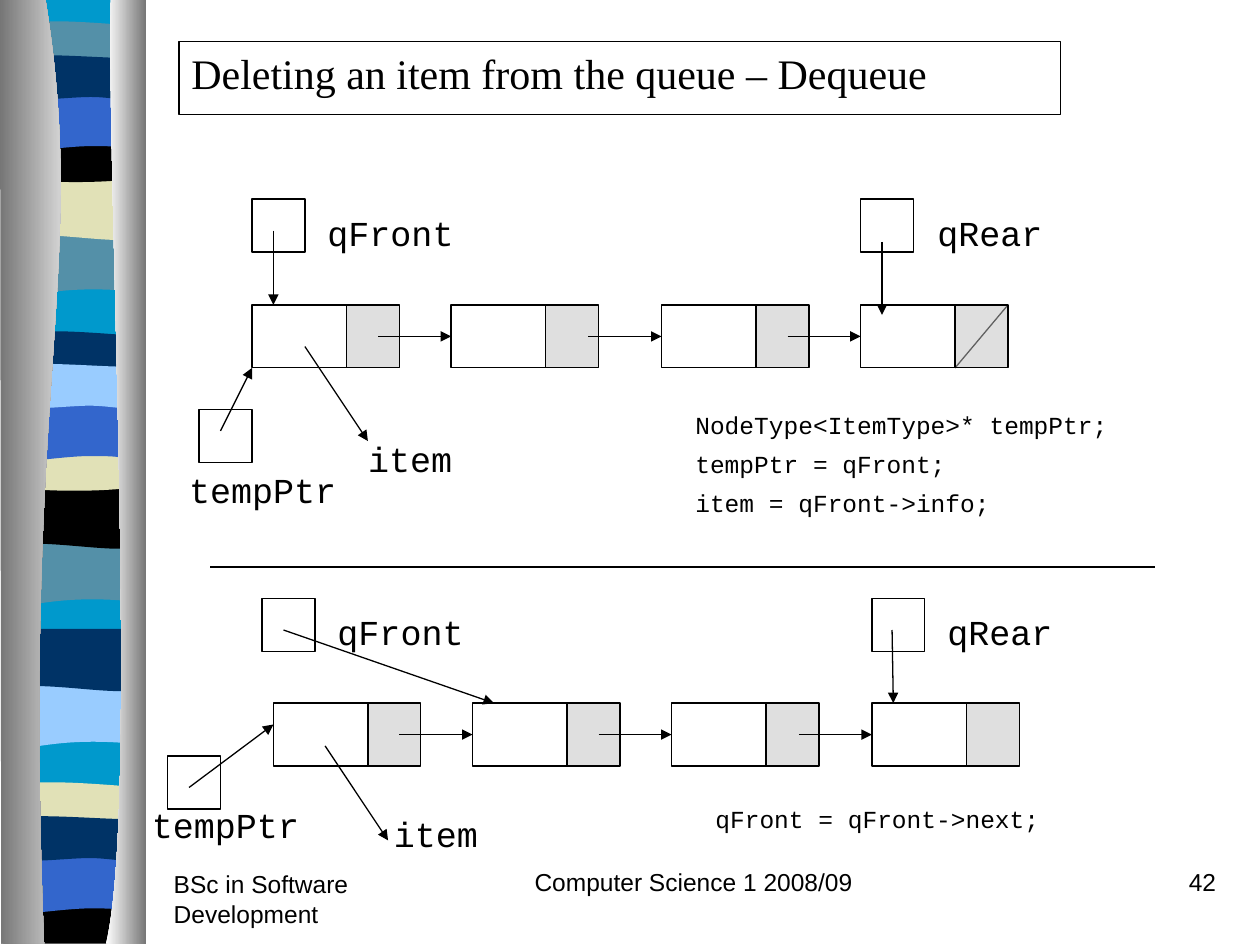
from lxml.etree import SubElement
from pptx import Presentation
from pptx.dml.color import RGBColor
from pptx.enum.shapes import MSO_CONNECTOR, MSO_SHAPE
from pptx.enum.text import PP_ALIGN
from pptx.oxml.ns import qn
from pptx.util import Inches, Pt

THEME = {
    "ink": "000000", "cell": "C0C0C0", "dark": "767676", "light": "FFFFFF",
    "sky": "0099CC", "teal": "5490A8", "sand": "E1E1B7", "blue": "3366CC",
    "navy": "003366", "pale": "99CCFF",
    "serif": "Times New Roman", "mono": "Courier New", "sans": "Arial",
    "title": 24, "label": 20, "small": 14, "line": 0.75,
}

WAVES = {
    "dip": [(1.08, 0), (1.08, 0.47), (0.33, 0.39, 0.18, 0.55, 0, 0.47), (0, 0)],
    "crest": [(1.08, 0), (1.08, 0.47), (0.9, 0.55, 0.33, 0.41, 0, 0.47), (0, 0)],
    "lens": [(1.08, 0.05), (1.08, 0.29), (0.9, 0.33, 0.18, 0.33, 0, 0.29), (0, 0.05),
             (0.06, 0, 0.23, 0.01, 0.41, 0.01), (0.59, 0.01, 0.94, 0.04, 1.08, 0.05)],
    "bowl": [(1.08, 0), (1.08, 0.32), (0.9, 0.38, 0.18, 0.38, 0, 0.32), (0, 0),
             (0.66, 0.05, 0.85, 0, 1.08, 0)],
    "arch": [(1.08, 0), (1.08, 0.47), (0.91, 0.42, 0.84, 0.42, 0.66, 0.42),
             (0.48, 0.42, 0.16, 0.47, 0, 0.47), (0, 0)],
    "flag": [(1.08, 0.05), (1.08, 0.36), (1.01, 0.41, 0.84, 0.36, 0.66, 0.36),
             (0.48, 0.36, 0.11, 0.41, 0, 0.36), (0, 0.05),
             (0.15, 0, 0.73, 0.05, 0.91, 0.05), (1.09, 0.05, 1.05, 0.05, 1.08, 0.05)],
    "base": [(1.08, 0), (1.08, 0.37), (0.01, 0.37), (0, 0), (0.66, 0.05, 0.85, 0, 1.08, 0)],
    "back": [(1.08, 0), (1.08, 7.48), (0, 7.48), (0, 0)],
}

BANDS = [
    ("back", 0.06, -0.01, "sky"), ("dip", 0.06, 1.85, "teal"),
    ("crest", 0.06, 1.41, "sand"), ("lens", 0.06, 0.16, "teal"),
    ("bowl", 0.06, 1.08, "ink"), ("arch", 0.06, 0.74, "blue"),
    ("flag", 0.06, 0.41, "navy"), ("dip", 0.05, 4.31, "teal"),
    ("crest", 0.05, 3.86, "ink"), ("lens", 0.05, 2.62, "navy"),
    ("bowl", 0.05, 3.53, "sand"), ("arch", 0.05, 3.2, "blue"),
    ("flag", 0.05, 2.86, "pale"), ("dip", 0.06, 5.44, "pale"),
    ("crest", 0.06, 4.99, "navy"), ("lens", 0.05, 6.2, "sand"),
    ("base", 0.05, 7.12, "ink"), ("arch", 0.05, 6.79, "blue"),
    ("flag", 0.05, 6.45, "navy"),
]

EDGES = [
    ([(0.36, -0.01), (0.71, 2.16, 0.17, 2.96, 0.35, 7.49), (0.01, 7.49), (0, -0.01)],
     ("dark", "light")),
    ([(0.88, -0.01), (0.84, 1.25, 1.11, 6.46, 0.84, 7.49), (1.16, 7.49), (1.16, 0)],
     ("light", "dark")),
]

QUEUES = [
    {"nodes": [2, 3.58, 5.25, 6.83], "top": 2.42,
     "boxes": [(2, 1.58), (6.83, 1.58), (1.58, 3.25)],
     "arrows": [(2.17, 1.83, 2.17, 2.42), (7, 1.92, 7, 2.5),
                (2.42, 2.75, 2.92, 3.5), (1.75, 3.42, 2, 2.92)]},
    {"nodes": [2.17, 3.75, 5.33, 6.92], "top": 5.58,
     "boxes": [(2.08, 4.75), (6.92, 4.75), (1.33, 6)],
     "arrows": [(2.25, 5, 3.92, 5.58), (7.08, 5, 7.09, 5.58),
                (2.58, 5.92, 3.08, 6.67), (1.5, 6.25, 2.17, 5.75)]},
]
RULES = [(7.58, 2.92, 8, 2.42), (1.67, 4.5, 9.17, 4.5)]
TABS = (1, 5.84)

LEFT, MID, RIGHT = PP_ALIGN.LEFT, PP_ALIGN.CENTER, PP_ALIGN.RIGHT
TEXTS = [
    ((1.28, 6.85, 2.08, 0.5), ["BSc in Software Development"], "sans", "small", LEFT, 1),
    ((3.92, 6.83, 3.17, 0.5), ["Computer Science 1 2008/09"], "sans", "small", MID, 1),
    ((7.67, 6.83, 2.08, 0.5), ["42"], "sans", "small", RIGHT, 1),
    ((1.5, 1.63, 7.42, 0.44), ["\tqFront\tqRear"], "mono", "label", LEFT, 1),
    ((1.58, 4.8, 7.42, 0.44), ["\tqFront\tqRear"], "mono", "label", LEFT, 1),
    ((5.42, 3.25, 3.75, 0.91),
     ["NodeType<ItemType>* tempPtr;", "tempPtr = qFront;", "item = qFront->info;"],
     "mono", "small", LEFT, 0.8),
    ((1.42, 0.33, 7.75, 0.5), ["Deleting an item from the queue – Dequeue"],
     "serif", "title", LEFT, 1),
    ((2.67, 3.42, 1.17, 0.44), ["item"], "mono", "label", MID, 1),
    ((1.25, 3.67, 1.67, 0.44), ["tempPtr"], "mono", "label", MID, 1),
    ((2.75, 6.4, 1.42, 0.44), ["item"], "mono", "label", MID, 1),
    ((1.08, 6.33, 1.42, 0.44), ["tempPtr"], "mono", "label", MID, 1),
    ((5.58, 6.38, 3.33, 0.29), ["qFront = qFront->next;"], "mono", "small", LEFT, 0.8),
]


def tint(name):
    """Return the theme colour of that name."""
    return RGBColor.from_string(THEME[name])


def add_wave(slide, steps, x=0, y=0):
    """Draw a closed outline of corners and cubic curves, without a border."""
    pts = [(Inches(x + s[i]), Inches(y + s[i + 1]))
           for s in steps for i in range(0, len(s), 2)]
    form = slide.shapes.build_freeform(*pts[0], scale=1.0)
    form.add_line_segments(pts[1:], close=True)
    shape = form.convert_to_shape()
    legs = iter(list(shape._element.iter(qn("a:lnTo"))))
    for step in steps[1:]:
        leg = next(legs)
        if len(step) == 6:
            curve = SubElement(leg.getparent(), qn("a:cubicBezTo"))
            leg.addprevious(curve)
            for part in (leg, next(legs), next(legs)):
                curve.append(part[0])
                part.getparent().remove(part)
    shape.shadow.inherit = False
    shape.line.fill.background()
    return shape


def add_box(slide, x, y, w, h, gray=False):
    """Draw an outlined box, clear or half gray."""
    box = slide.shapes.add_shape(MSO_SHAPE.RECTANGLE, *map(Inches, (x, y, w, h)))
    box.shadow.inherit = False
    if gray:
        box.fill.solid()
        box.fill.fore_color.rgb = tint("cell")
        SubElement(next(box._element.iter(qn("a:srgbClr"))), qn("a:alpha"), val="50000")
    else:
        box.fill.background()
    box.line.color.rgb = tint("ink")
    box.line.width = Pt(THEME["line"])


def add_line(slide, ends, arrow=True):
    """Draw a straight line, with an arrowhead if wanted."""
    line = slide.shapes.add_connector(MSO_CONNECTOR.STRAIGHT, *map(Inches, ends))
    line.line.color.rgb = tint("ink")
    line.line.width = Pt(THEME["line"])
    if arrow:
        SubElement(line.line._get_or_add_ln(), qn("a:tailEnd"), type="triangle")
    SubElement(line._element.spPr, qn("a:effectLst"))


def add_text(slide, area, lines, face, size, align, pitch):
    """Write lines of text in a wrapped box."""
    frame = slide.shapes.add_textbox(*map(Inches, area)).text_frame
    frame.word_wrap = True
    for i, words in enumerate(lines):
        para = frame.add_paragraph() if i else frame.paragraphs[0]
        para.alignment, para.line_spacing = align, pitch
        para.space_before = Pt(8.8 if i else 0)
        if "\t" in words:
            stops = SubElement(para._p.get_or_add_pPr(), qn("a:tabLst"))
            for spot in TABS:
                SubElement(stops, qn("a:tab"), pos=str(Inches(spot)), algn="l")
        run = para.add_run()
        run.text = words
        run.font.name, run.font.size = THEME[face], Pt(THEME[size])
        run.font.color.rgb = tint("ink")


def add_queue(slide, nodes, top, boxes, arrows):
    """Draw linked nodes with their pointer boxes and arrows."""
    for x in nodes:
        add_box(slide, x, top, 0.75, 0.5)
        add_box(slide, x + 0.75, top, 0.42, 0.5, gray=True)
    for x, y in boxes:
        add_box(slide, x, y, 0.42, 0.42)
    links = [(x - 0.58, top + 0.25, x, top + 0.25) for x in nodes[1:]]
    for ends in links + arrows:
        add_line(slide, ends)


def main():
    """Build the slide and save it."""
    deck = Presentation()
    deck.slide_width, deck.slide_height = Inches(10), Inches(7.5)
    slide = deck.slides.add_slide(deck.slide_layouts[6])
    for kind, x, y, name in BANDS:
        fill = add_wave(slide, WAVES[kind], x, y).fill
        fill.solid()
        fill.fore_color.rgb = tint(name)
    for steps, names in EDGES:
        fill = add_wave(slide, steps).fill
        fill.gradient()
        fill.gradient_angle = 0
        for stop, name, spot in zip(fill.gradient_stops, names, (0, 1)):
            stop.color.rgb, stop.position = tint(name), spot
    for ends in RULES:
        add_line(slide, ends, arrow=False)
    for queue in QUEUES:
        add_queue(slide, **queue)
    add_box(slide, 1.42, 0.33, 7, 0.58)
    for text in TEXTS:
        add_text(slide, *text)
    deck.save("out.pptx")


if __name__ == "__main__":
    main()
